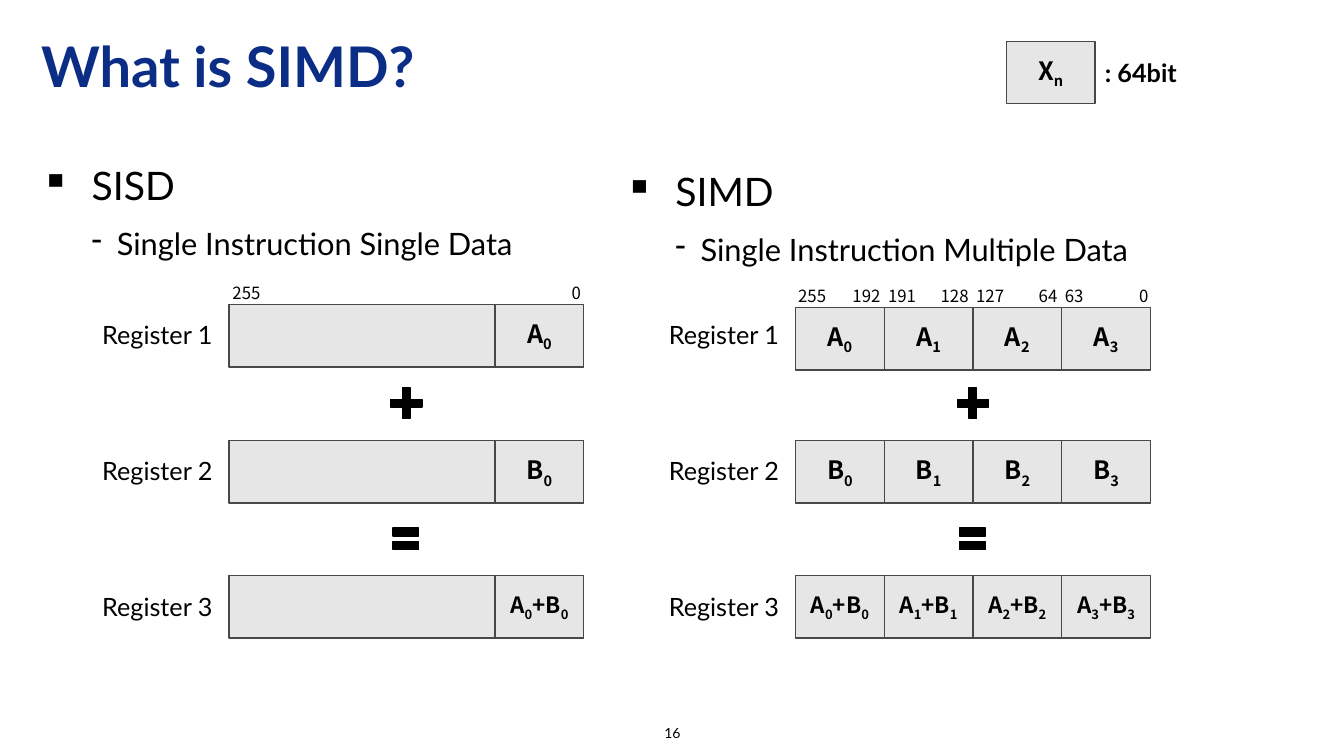
from pptx import Presentation
from pptx.dml.color import RGBColor as RGB
from pptx.enum.shapes import MSO_SHAPE as Kind
from pptx.enum.text import MSO_ANCHOR as Anchor, PP_ALIGN as Align
from pptx.util import Inches, Pt
from lxml.etree import SubElement

HUES = {"navy": "0B2D86", "black": "000000", "gray": "E7E6E6", "edge": "484848"}
LATO, NOTO = "Lato", "Noto Sans CJK KR"
WIDE, HIGH = 0.88, 0.62

deck = Presentation()
deck.slide_width, deck.slide_height = Inches(13.33), Inches(7.5)
slide = deck.slides.add_slide(deck.slide_layouts[6])


def write(text, box=None, shape=None, size=18, font=LATO, hue="black", bold=False,
          align=Align.CENTER, anchor=Anchor.TOP, lead=None, bullets=()):
    shape = shape or slide.shapes.add_textbox(*map(Inches, box))
    frame = shape.text_frame
    frame.word_wrap = True
    frame.vertical_anchor = anchor
    for i, line in enumerate(text.split("\n")):
        para = frame.paragraphs[0] if i == 0 else frame.add_paragraph()
        para.alignment = align
        if lead:
            para.line_spacing = lead
        points = size
        if bullets:
            mark, points, left, hang = bullets[i]
            para.level = i
            para.space_before = Pt(6)
            props = para._p.get_or_add_pPr()
            props.set("marL", str(Inches(left)))
            props.set("indent", str(-Inches(hang)))
            tag = props.tag.replace("pPr", "buChar")
            SubElement(props, tag, char=mark)
        for part in line.split("|"):
            run = para.add_run()
            run.text = part.lstrip("_")
            run.font.size, run.font.name, run.font.bold = Pt(points), font, bold
            run.font.color.rgb = RGB.from_string(HUES[hue])
            if part.startswith("_"):
                run.font._element.set("baseline", "-25000")
            if part == " ":
                run.font._element.set("spc", "270")


def draw(kind, box, fill="gray", edge="edge"):
    shape = slide.shapes.add_shape(kind, *map(Inches, box))
    shape.shadow.inherit = False
    shape.fill.solid()
    shape.fill.fore_color.rgb = RGB.from_string(HUES[fill])
    shape.line.color.rgb = RGB.from_string(HUES[edge])
    shape.line.width = Pt(1)
    return shape


write("What is SIMD?", (0.31, 0.23, 9.71, 0.91), size=40, hue="navy", bold=True,
      align=Align.LEFT, anchor=Anchor.MIDDLE, lead=0.9)
write("16", (5.17, 7.11, 3, 0.32), size=10, anchor=Anchor.MIDDLE)

levels = (("▪", 28, 0.5, 0.5), ("-", 22, 0.75, 0.25))
heads = (("SISD\nSingle Instruction Single Data", (0.31, 1.46, 5.49, 1.51)),
         ("SIMD\nSingle Instruction Multiple Data", (6.1, 1.52, 5.43, 1.37)))
for text, box in heads:
    write(text, box, align=Align.LEFT, lead=1.2, bullets=levels)

rows = (("A|_{0}", 18), ("B|_{0}", 18), ("A|_{0}|+B|_{0}", 16))
panels = ((2.27, (3.02, 4.37, 5.71), (3,)),
          (7.89, (3.05, 4.37, 5.71), range(4)))
for left, tops, slots in panels:
    for i, (top, (term, size)) in enumerate(zip(tops, rows)):
        write(f"Register {i + 1}", (left - 1.42, 3.12 + 1.35 * i, 1.42, 0.4))
        if len(slots) == 1:
            draw(Kind.RECTANGLE, (left, top, 4 * WIDE, HIGH))
        for lane, slot in enumerate(slots):
            cell = draw(Kind.RECTANGLE, (left + slot * WIDE, top, WIDE, HIGH))
            write(term.format(lane), shape=cell, size=size, font=NOTO, bold=True,
                  anchor=Anchor.MIDDLE)
    plus = draw(Kind.MATH_PLUS, (left + 1.55, 3.79, 0.42, 0.42), "black", "black")
    plus.adjustments[0] = 0.18
    equal = draw(Kind.MATH_EQUAL, (left + 1.58, 5.1, 0.35, 0.49), "black", "black")
    equal.adjustments[0], equal.adjustments[1] = 0.161, 0.118

bits = (("255", 2.16, 2.76, 0.57), ("0", 5.43, 2.76, 0.57),
        ("255", 7.77, 2.79, 0.57), ("192| |191", 8.31, 2.79, 0.92),
        ("128| |127", 9.13, 2.79, 1.03), ("64| |63", 10.14, 2.79, 0.77),
        ("0", 11.06, 2.79, 0.57))
for text, left, top, width in bits:
    write(text, (left, top, width, 0.3), size=12, font=NOTO)

key = draw(Kind.RECTANGLE, (9.98, 0.41, WIDE, HIGH))
write("X|_n", shape=key, font=NOTO, bold=True, anchor=Anchor.MIDDLE)
write(": 64bit", (10.86, 0.52, 1.38, 0.4), bold=True, align=Align.LEFT)

deck.save("out.pptx")
